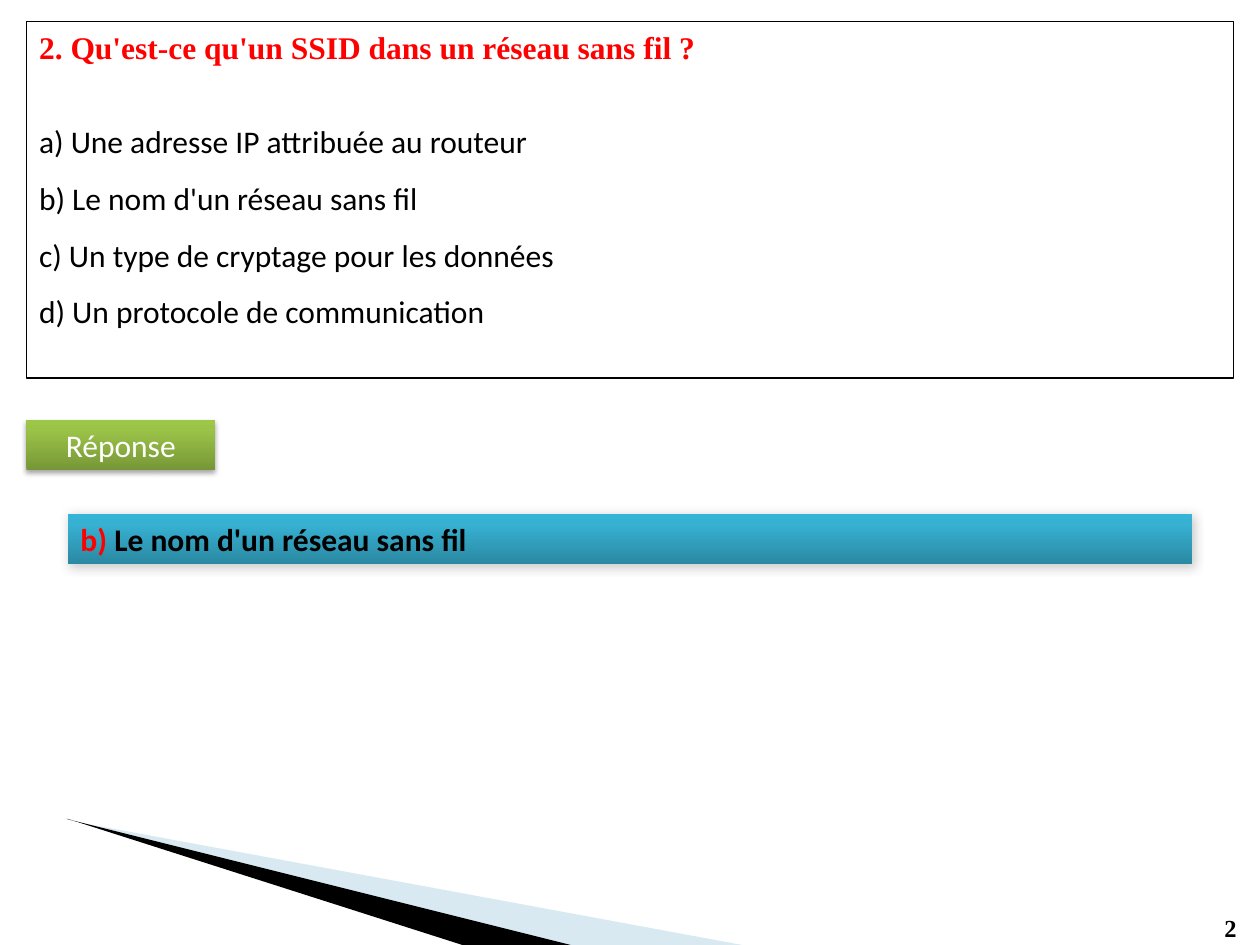
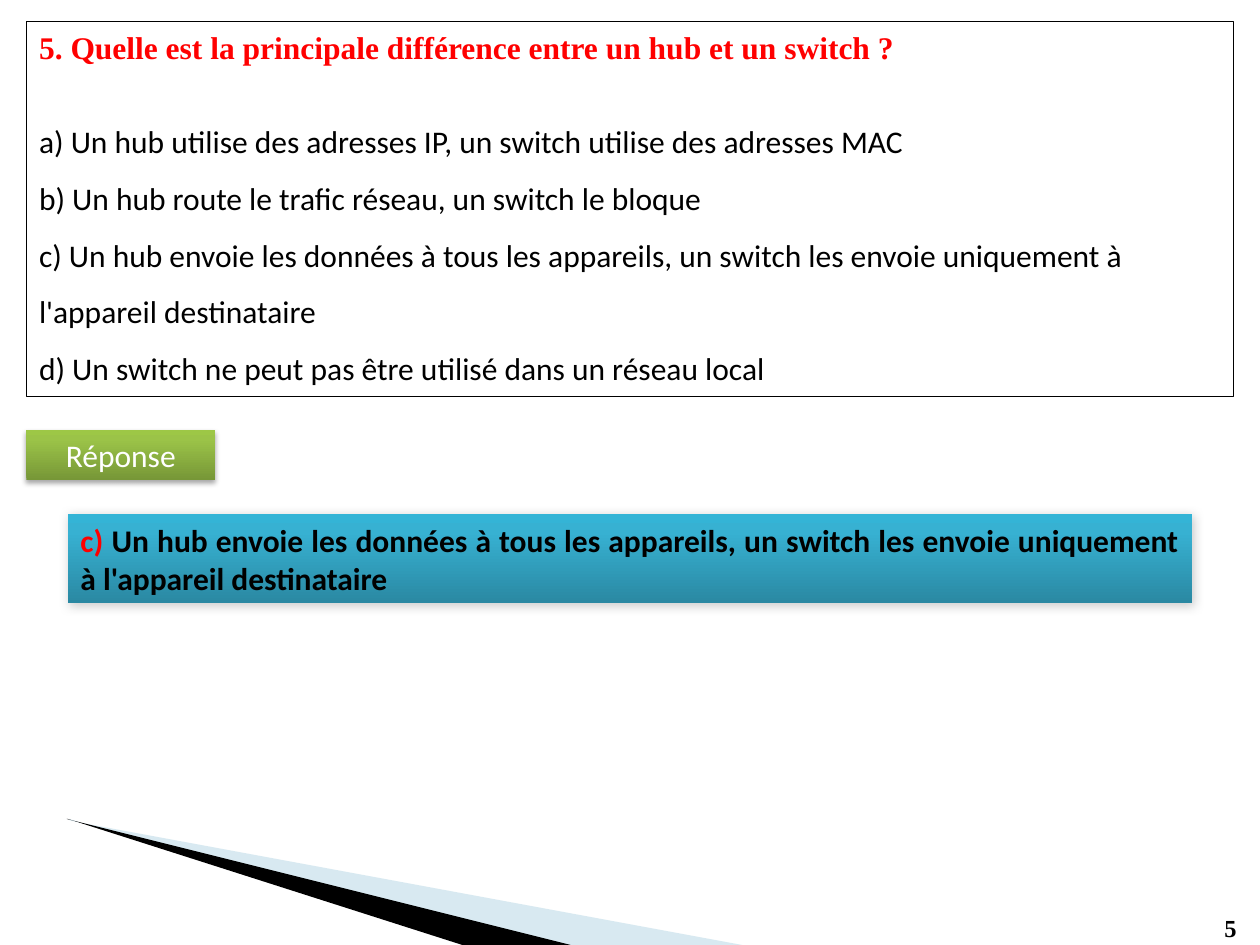
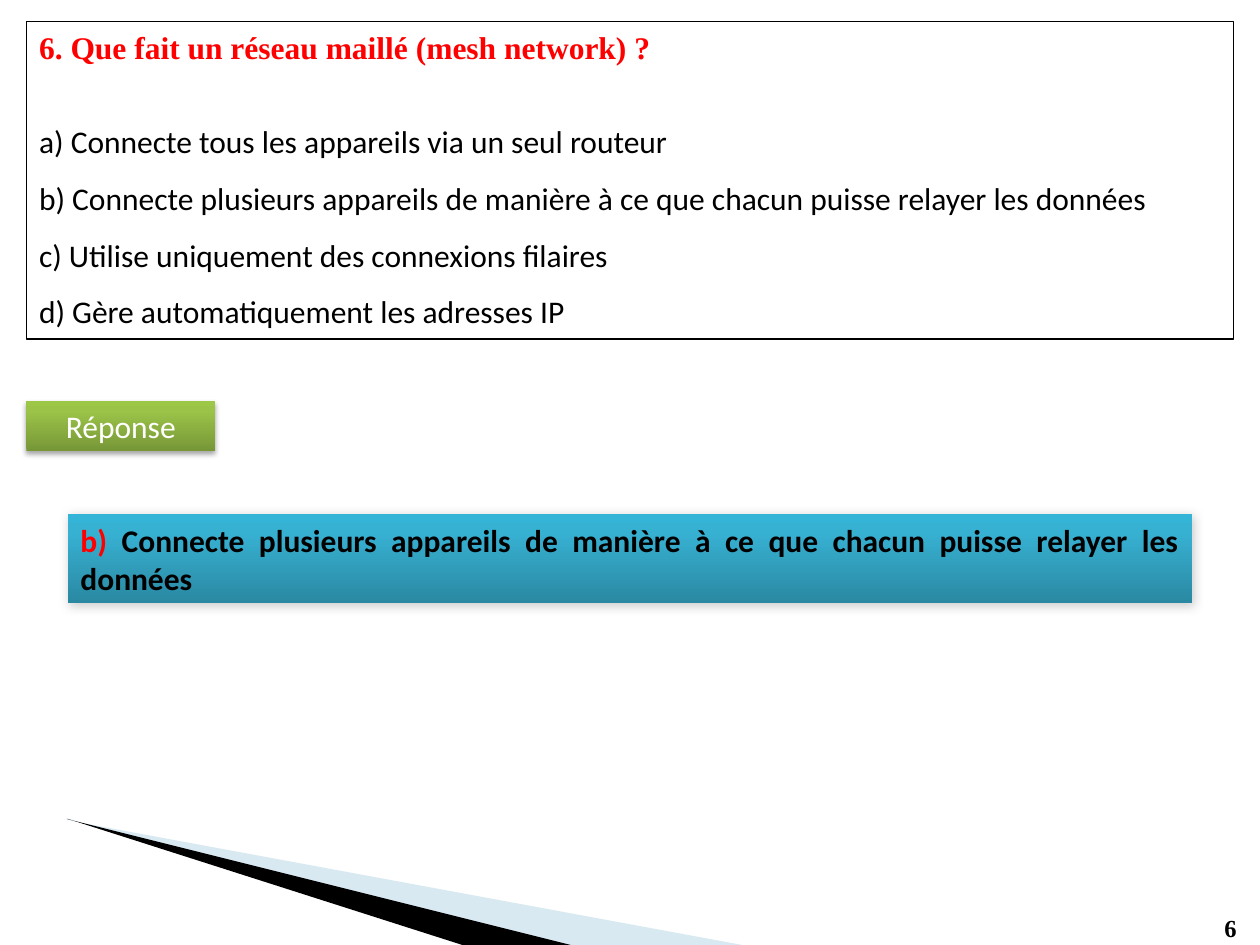
from copy import deepcopy

from lxml.etree import SubElement
from pptx import Presentation
from pptx.dml.color import RGBColor
from pptx.enum.shapes import MSO_SHAPE
from pptx.enum.text import MSO_ANCHOR, MSO_AUTO_SIZE, PP_ALIGN
from pptx.oxml.ns import qn
from pptx.util import Inches, Pt

SANS = "Calibri"
SERIF = "Times New Roman"
BLACK, WHITE, RED, PALE_BLUE = "000000", "FFFFFF", "FF0000", "9FCADC"
GREEN_STOPS = [(0, "779737"), (0.8, "9BC348"), (1, "9DC746")]
BLUE_STOPS = [(0, "2A88A2"), (0.8, "37B1D2"), (1, "34B4D6")]
GREEN_SHADOW = {"alpha": 35, "blur": 3.1, "distance": 1.8, "angle": 90}
BLUE_SHADOW = {"alpha": 20, "blur": 6, "distance": 1, "angle": 45}
PALE_WING = [
    [(0.64, 6.53), (4.51, 7.5), (5.89, 7.5)],
    [(0.55, 6.5), (0.55, 6.51), (0.64, 6.53)],
]
BLACK_WING = [[(0.53, 6.5), (0.54, 6.5), (3.67, 7.5), (4.53, 7.5)]]

QUESTIONS = [
    {
        "number": 2,
        "title": "Qu'est-ce qu'un SSID dans un réseau sans fil ?",
        "options": [
            "a) Une adresse IP attribuée au routeur",
            "b) Le nom d'un réseau sans fil",
            "c) Un type de cryptage pour les données",
            "d) Un protocole de communication",
        ],
        "correct": 1,
        "frame_height": 2.83,
        "label_top": 3.33,
        "answer_height": 0.4,
    },
    {
        "number": 5,
        "title": "Quelle est la principale différence entre un hub et un switch ?",
        "options": [
            "a) Un hub utilise des adresses IP, un switch utilise des adresses MAC",
            "b) Un hub route le trafic réseau, un switch le bloque",
            "c) Un hub envoie les données à tous les appareils, un switch les envoie "
            "uniquement à l'appareil destinataire",
            "d) Un switch ne peut pas être utilisé dans un réseau local",
        ],
        "correct": 2,
        "frame_height": 2.98,
        "label_top": 3.41,
        "answer_height": 0.71,
    },
    {
        "number": 6,
        "title": "Que fait un réseau maillé (mesh network) ?",
        "options": [
            "a) Connecte tous les appareils via un seul routeur",
            "b) Connecte plusieurs appareils de manière à ce que chacun puisse "
            "relayer les données",
            "c) Utilise uniquement des connexions filaires",
            "d) Gère automatiquement les adresses IP",
        ],
        "correct": 1,
        "frame_height": 2.52,
        "label_top": 3.18,
        "answer_height": 0.71,
    },
]


def rgb(value):
    return RGBColor.from_string(value)


class Quiz:
    def __init__(self):
        self.deck = Presentation()
        self.deck.slide_width = Inches(10)
        self.deck.slide_height = Inches(7.5)
        self.page = None

    def new_page(self):
        self.page = self.deck.slides.add_slide(self.deck.slide_layouts[1])

    def format_span(self, span, color, font=SANS, size=18, bold=False):
        span.font.name = font
        span.font.size = Pt(size)
        span.font.bold = bold
        span.font.color.rgb = rgb(color)

    def place(self, box, left, top, width, height):
        box.left, box.top = Inches(left), Inches(top)
        box.width, box.height = Inches(width), Inches(height)
        frame = box.text_frame
        frame.word_wrap = True
        frame.auto_size = MSO_AUTO_SIZE.NONE
        frame.vertical_anchor = MSO_ANCHOR.TOP

    def wing(self, outlines, color, alpha, shape_id):
        points = [[(Inches(x), Inches(y)) for x, y in outline] for outline in outlines]
        builder = self.page.shapes.build_freeform(*points[0][0], scale=1.0)
        for index, outline in enumerate(points):
            if index:
                builder.move_to(*outline[0])
            builder.add_line_segments(outline[1:], close=True)
        shape = builder.convert_to_shape()
        shape.shadow.inherit = False
        shape.line.fill.background()
        shape.fill.solid()
        shape.fill.fore_color.rgb = rgb(color)
        paint = shape.element.spPr.find(qn("a:solidFill"))[0]
        SubElement(paint, qn("a:alpha"), val=str(alpha * 1000))
        shape.element.nvSpPr.cNvPr.set("id", str(shape_id))
        self.deck.slide_master.element.cSld.spTree.append(shape.element)

    def title(self, text):
        box = self.page.shapes.title
        self.place(box, 0.21, 0.17, 9.58, 0.4)
        box.text_frame.text = text
        para = box.text_frame.paragraphs[0]
        para.alignment = PP_ALIGN.LEFT
        self.format_span(para.runs[0], RED, SERIF, bold=True)

    def options(self, lines, height):
        box = self.page.placeholders[1]
        self.place(box, 0.21, 0.17, 9.58, height)
        box.line.color.rgb = rgb(BLACK)
        box.line.width = Pt(0.75)
        box.text_frame.margin_top = Inches(0.65)
        box.text_frame.text = "\n".join(lines)
        for para in box.text_frame.paragraphs:
            para.line_spacing = 1.5
            para.space_before = Pt(0)
            properties = para._p.get_or_add_pPr()
            properties.set("marL", "0")
            properties.set("indent", "0")
            SubElement(properties, qn("a:buNone"))
            self.format_span(para.runs[0], BLACK)

    def band(self, left, top, width, height, stops, shadow, spans, alignment):
        box = self.page.shapes.add_shape(
            MSO_SHAPE.RECTANGLE, Inches(left), Inches(top), Inches(width), Inches(height)
        )
        box.line.fill.background()
        box.fill.gradient()
        box.fill.gradient_angle = 90
        stop_list = box.element.spPr.find(".//" + qn("a:gsLst"))
        stop_list.append(deepcopy(stop_list[0]))
        for stop, (position, color) in zip(box.fill.gradient_stops, stops):
            stop.position = position
            stop.color.rgb = rgb(color)
        self.cast_shadow(box, **shadow)
        box.text_frame.word_wrap = True
        para = box.text_frame.paragraphs[0]
        para.alignment = alignment
        for text, color, bold in spans:
            span = para.add_run()
            span.text = text
            self.format_span(span, color, bold=bold)

    def cast_shadow(self, box, alpha, blur, distance, angle):
        box.shadow.inherit = False
        outer = SubElement(
            box.element.spPr.find(qn("a:effectLst")),
            qn("a:outerShdw"),
            blurRad=str(Pt(blur)),
            dist=str(Pt(distance)),
            dir=str(angle * 60000),
            rotWithShape="0",
        )
        paint = SubElement(outer, qn("a:srgbClr"), val=BLACK)
        SubElement(paint, qn("a:alpha"), val=str(alpha * 1000))

    def label(self, top):
        self.band(0.21, top, 1.5, 0.4, GREEN_STOPS, GREEN_SHADOW,
                  [("Réponse", WHITE, False)], PP_ALIGN.CENTER)

    def answer(self, option, height):
        letter, text = option.split(" ", 1)
        self.band(0.54, 4.08, 8.92, height, BLUE_STOPS, BLUE_SHADOW,
                  [(letter + " ", RED, True), (text, BLACK, True)], PP_ALIGN.JUSTIFY)

    def page_number(self, number):
        box = self.page.shapes.add_textbox(0, 0, 0, 0)
        self.place(box, 9.62, 7.2, 0.36, 0.34)
        box.text_frame.text = str(number)
        self.format_span(box.text_frame.paragraphs[0].runs[0], BLACK, SERIF, 14, True)


def main():
    quiz = Quiz()
    for index, question in enumerate(QUESTIONS):
        quiz.new_page()
        if index == 0:
            quiz.wing(PALE_WING, PALE_BLUE, 40, 21)
            quiz.wing(BLACK_WING, BLACK, 100, 22)
        quiz.title(f"{question['number']}. {question['title']}")
        quiz.options(question["options"], question["frame_height"])
        quiz.label(question["label_top"])
        quiz.answer(question["options"][question["correct"]], question["answer_height"])
        quiz.page_number(question["number"])
    quiz.deck.save("out.pptx")


if __name__ == "__main__":
    main()
